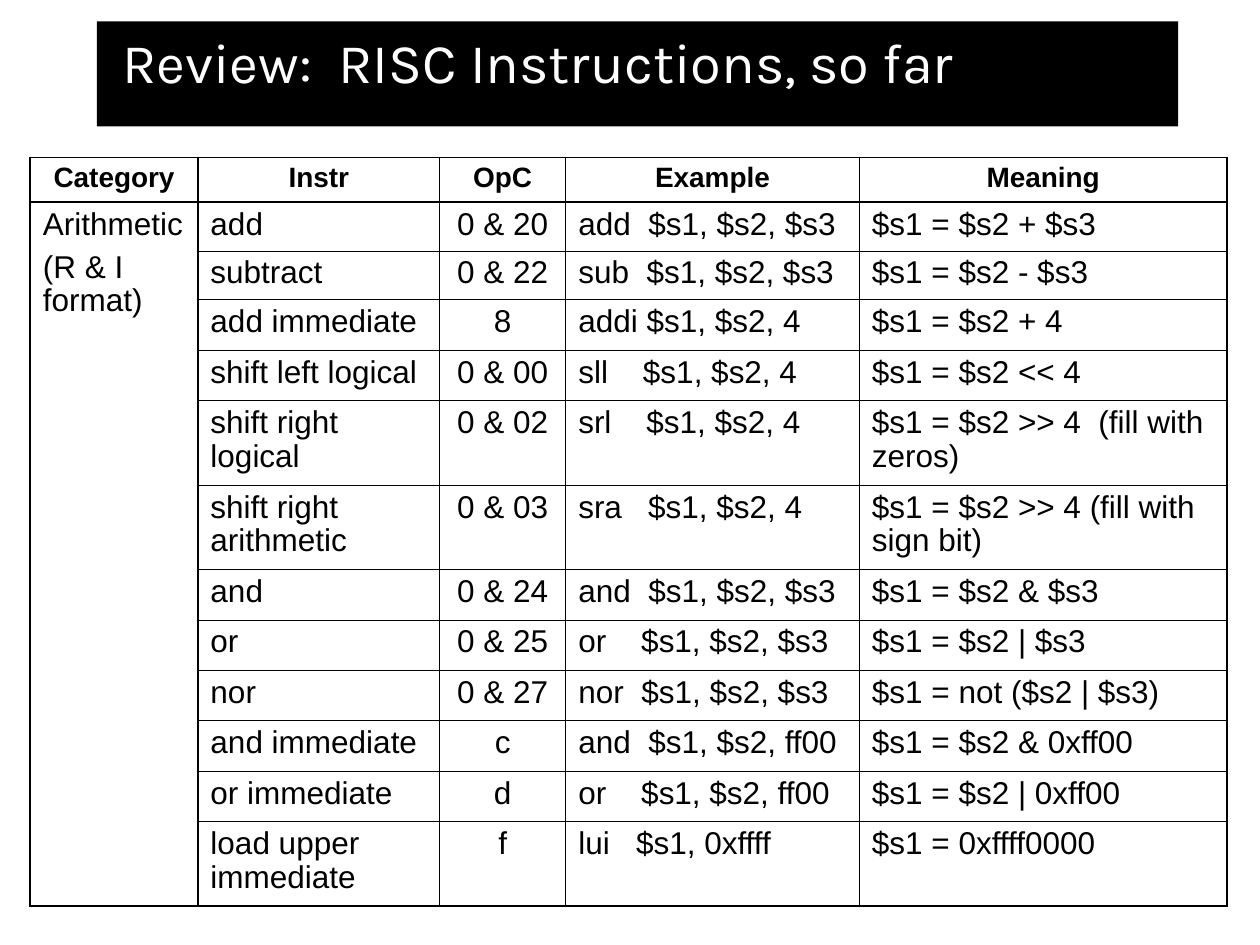
from lxml import etree
from pptx import Presentation
from pptx.dml.color import RGBColor
from pptx.enum.text import MSO_ANCHOR, MSO_AUTO_SIZE, PP_ALIGN
from pptx.oxml.ns import qn
from pptx.util import Pt

LEFT, CENTER = PP_ALIGN.LEFT, PP_ALIGN.CENTER
TOP = MSO_ANCHOR.TOP
GROW = MSO_AUTO_SIZE.SHAPE_TO_FIT_TEXT

COLORS = {"ink": "000000", "title": "FFFFFF"}
TITLE = "Review:  RISC Instructions, so far"
HEADERS = ["Category", "Instr", "OpC", "Example", "Meaning"]
CATEGORY = "Arithmetic\n(R & I format)"
INSTRUCTIONS = [
    ("add", "0 & 20", "add  $s1, $s2, $s3", "$s1 = $s2 + $s3"),
    ("subtract", "0 & 22", "sub  $s1, $s2, $s3", "$s1 = $s2 - $s3"),
    ("add immediate", "8", "addi $s1, $s2, 4", "$s1 = $s2 + 4"),
    ("shift left logical", "0 & 00", "sll    $s1, $s2, 4", "$s1 = $s2 << 4"),
    ("shift right logical", "0 & 02", "srl    $s1, $s2, 4",
     "$s1 = $s2 >> 4  (fill with zeros)"),
    ("shift right arithmetic", "0 & 03", "sra   $s1, $s2, 4",
     "$s1 = $s2 >> 4 (fill with sign bit)"),
    ("and", "0 & 24", "and  $s1, $s2, $s3", "$s1 = $s2 & $s3"),
    ("or", "0 & 25", "or    $s1, $s2, $s3", "$s1 = $s2 | $s3"),
    ("nor", "0 & 27", "nor  $s1, $s2, $s3", "$s1 = not ($s2 | $s3)"),
    ("and immediate", "c", "and  $s1, $s2, ff00", "$s1 = $s2 & 0xff00"),
    ("or immediate", "d", "or    $s1, $s2, ff00", "$s1 = $s2 | 0xff00"),
    ("load upper immediate", "f", "lui   $s1, 0xffff", "$s1 = 0xffff0000"),
]
OPC = HEADERS.index("OpC")
COL_WIDTHS = [95.8, 138.2, 72, 167.8, 210.2]
HEADER_H, TIGHT_H, SINGLE_H, DOUBLE_H = 25.5, 27.9, 28.8, 48.2
ROW_HEIGHTS = ([HEADER_H] + [TIGHT_H] * 2 + [SINGLE_H] * 2 + [DOUBLE_H] * 2
               + [SINGLE_H] * 5 + [DOUBLE_H])
THIN, THICK = 0.45, 1.08


def color(name):
    return RGBColor.from_string(COLORS[name])


def set_borders(cell, row, col):
    """Thick lines frame the table, its header and its category column."""
    last_row, last_col = len(ROW_HEIGHTS) - 1, len(COL_WIDTHS) - 1
    thick = {
        "a:lnL": col <= 1,
        "a:lnR": col in (0, last_col),
        "a:lnT": col == 0 or row <= 1,
        "a:lnB": col == 0 or row in (0, last_row),
    }
    tc_pr = cell._tc.get_or_add_tcPr()
    for tag, is_thick in thick.items():
        width = Pt(THICK if is_thick else THIN)
        ln = etree.SubElement(tc_pr, qn(tag), w=str(width))
        fill = etree.SubElement(ln, qn("a:solidFill"))
        etree.SubElement(fill, qn("a:srgbClr"), val=COLORS["ink"])


def write_cell(cell, text, row, col):
    header = row == 0
    cell.margin_left = cell.margin_right = Pt(7.2)
    cell.margin_top = cell.margin_bottom = Pt(3.6)
    cell.vertical_anchor = TOP
    cell.text_frame.text = text
    for i, p in enumerate(cell.text_frame.paragraphs):
        p.alignment = CENTER if header or col == OPC else LEFT
        p.line_spacing = 0.95
        p.space_before = Pt(5.6 if i else 0)
        for r in p.runs:
            r.font.name = "Arial"
            r.font.size = Pt(16 if header else 18)
            r.font.bold = header
            r.font.color.rgb = color("ink")


def add_title(s):
    title = s.shapes.title
    title.left, title.top = Pt(55.4), Pt(12.2)
    title.width, title.height = Pt(617.8), Pt(46)
    title.fill.solid()
    title.fill.fore_color.rgb = color("ink")
    tf = title.text_frame
    tf.text = TITLE
    tf.word_wrap = True
    tf.auto_size = GROW
    tf.vertical_anchor = TOP
    tf.margin_left = tf.margin_right = Pt(14.4)
    tf.margin_top = tf.margin_bottom = Pt(3.6)
    p = tf.paragraphs[0]
    p.alignment = LEFT
    font = p.runs[0].font
    font.name, font.size = "Karla", Pt(32)
    font.color.rgb = color("title")


def add_instruction_table(s):
    rows = [HEADERS] + [("", *entry) for entry in INSTRUCTIONS]
    table = s.shapes.add_table(
        len(rows), len(HEADERS), Pt(17.3), Pt(90),
        Pt(sum(COL_WIDTHS)), Pt(sum(ROW_HEIGHTS))).table
    table.horz_banding = table.first_row = False
    for column, width in zip(table.columns, COL_WIDTHS):
        column.width = Pt(width)
    for table_row, height in zip(table.rows, ROW_HEIGHTS):
        table_row.height = Pt(height)
    for row, texts in enumerate(rows):
        for col, text in enumerate(texts):
            cell = table.cell(row, col)
            set_borders(cell, row, col)
            cell.fill.background()
            write_cell(cell, text, row, col)
    category = table.cell(1, 0)
    category.merge(table.cell(len(rows) - 1, 0))
    write_cell(category, CATEGORY, 1, 0)


def main():
    prs = Presentation()
    prs.slide_width, prs.slide_height = Pt(720), Pt(540)
    s = prs.slides.add_slide(prs.slide_layouts[5])
    add_title(s)
    add_instruction_table(s)
    prs.save("out.pptx")


if __name__ == "__main__":
    main()
